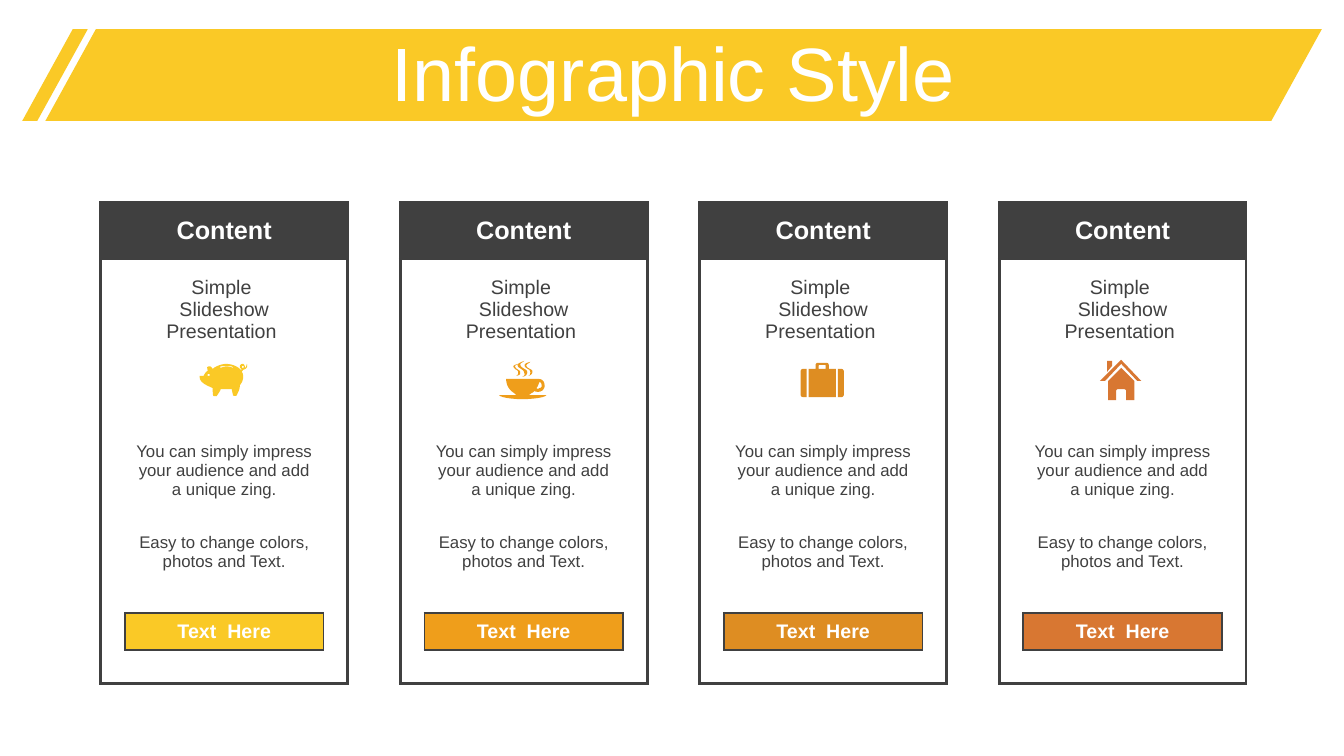
"""Build the Infographic Style slide: a title banner over four content cards."""
from lxml.etree import SubElement
from pptx import Presentation
from pptx.dml.color import RGBColor
from pptx.enum.shapes import MSO_SHAPE
from pptx.enum.text import MSO_ANCHOR, PP_ALIGN
from pptx.oxml.ns import qn
from pptx.util import Emu, Pt

PX = 9144
YELLOW, DARK, WHITE = "FAC926", "404040", "FFFFFF"

PIG = """M 9 10 C 8 10 8 10 8 11 C 8 12 8 12 9 12 C 10 12 10 12 10 11 C 10 10 10 10 9 10 Z
M 43 2 C 42 2 42 2 42 3 C 42 4 42 4 43 4 C 43 4 44 4 44 3 C 44 2 43 2 43 2 Z
M 27 2 C 25 2 22 2 20 3 L 21 4 C 25 2 29 2 33 4 L 33 3 C 31 2 29 2 27 2 Z
M 26 0 C 31 0 37 2 40 5 L 41 6 C 41 6 41 6 42 5 C 41 5 40 4 40 3 C 40 1 41 0 43 0
C 44 0 45 2 45 3 C 45 4 45 3 45 4 C 45 4 46 4 47 0 C 48 4 46 5 43 6 C 43 7 42 7 42 8
L 43 10 C 44 15 42 19 40 21 C 40 26 38 28 37 31 C 37 32 33 32 33 31 C 33 29 32 27 32 25
C 28 25 24 25 21 25 C 20 28 18 30 17 32 L 14 32 C 13 32 13 27 13 24 C 9 22 -1 19 0 12
C 0 12 2 12 4 12 C 5 10 6 8 8 7 C 8 5 7 3 8 3 C 11 1 12 4 13 5 C 16 2 23 0 26 0 Z"""
CUP = """M 40 21 C 39 23 39 25 37 27 C 38 28 39 28 40 27 C 42 27 43 25 42 23 C 42 22 41 21 40 21 Z
M 40 18 C 42 18 45 20 45 23 C 46 26 44 29 42 30 C 40 31 37 31 35 30 C 34 31 33 32 32 32
C 31 33 30 34 29 34 L 47 34 C 46 36 36 38 23 38 C 11 38 1 36 0 34 L 18 34
C 17 34 16 33 15 32 C 10 29 7 24 7 18 Z
M 19 3 C 17 4 16 4 16 6 C 17 9 22 9 21 12 C 21 14 20 14 17 15 C 19 14 19 13 19 11
C 19 9 16 9 15 7 C 13 5 15 4 19 3 Z
M 31 1 C 29 3 27 3 27 5 C 28 8 34 8 33 11 C 33 13 32 14 29 15 C 31 14 31 13 31 11
C 31 8 27 8 26 6 C 24 4 26 2 31 1 Z
M 25 0 C 23 2 21 2 21 4 C 22 8 29 8 28 12 C 27 15 26 15 23 16 C 25 15 26 14 25 12
C 25 9 21 8 19 6 C 17 3 20 2 25 0 Z"""
SUITCASE = """M 37 6 L 40 6 C 42 6 43 7 43 9 L 43 31 C 43 33 42 34 40 34 L 37 34 Z
M 3 6 L 6 6 L 6 34 L 3 34 C 1 34 0 33 0 31 L 0 9 C 0 7 1 6 3 6 Z
M 19 2 C 18 2 18 3 18 3 L 18 6 L 25 6 L 25 3 C 25 3 25 2 24 2 Z
M 17 0 L 26 0 C 27 0 28 1 28 2 L 28 6 L 35 6 L 35 34 L 8 34 L 8 6 L 15 6 L 15 2
C 15 1 16 0 17 0 Z"""
HOUSE = """M 21 8 L 34 21 L 34 40 L 26 40 L 26 31 C 26 30 25 29 23 29 L 18 29
C 17 29 16 30 16 31 L 16 40 L 8 40 L 8 21 Z
M 7 1 L 12 1 L 12 6 L 7 12 Z M 21 0 L 41 21 L 37 21 L 21 4 L 5 21 L 0 21 Z"""

CARDS = [
    (YELLOW, PIG, 98, 361),
    ("EF9E1B", CUP, 98, 358),
    ("DE8D22", SUITCASE, 100, 360),
    ("D87732", HOUSE, 100, 357),
]
CARD_LEFT, CARD_TOP, CARD_STEP = 100, 201, 297
COLUMNS = [23, 197, 23]
ROWS = [56, 101, 56, 106, 56, 32, 37, 33]
HEADER_ROW, CLEAR_FROM_ROW, BUTTON_ROW, LAST_ROW = 0, 3, 6, 7
CARD_TEXT = {
    0: (["Content"], 18, WHITE, True),
    1: (["Simple ", "Slideshow Presentation "], 14, DARK, False),
    3: (["You can simply impress your audience and add a unique zing."], 12, DARK, False),
    4: (["Easy to change colors, photos and Text."], 12, DARK, False),
    6: (["Text  Here"], 14, WHITE, True),
}


def paint(fill, color):
    fill.solid()
    fill.fore_color.rgb = RGBColor.from_string(color)


def write(paragraph, text, size, color, bold):
    paragraph.alignment = PP_ALIGN.CENTER
    run = paragraph.add_run()
    run.text = text
    run.font.name, run.font.size, run.font.bold = "Arial", Pt(size), bold
    run.font.color.rgb = RGBColor.from_string(color)


prs = Presentation()
prs.slide_width, prs.slide_height = Emu(1333 * PX), Emu(750 * PX)
slide = prs.slides.add_slide(prs.slide_layouts[5])
shapes = slide.shapes

for left, width, slant in [(45, 1266, 0.55), (22, 65, 0.77)]:
    banner = shapes.add_shape(MSO_SHAPE.PARALLELOGRAM, left * PX, 29 * PX, width * PX, 91 * PX)
    banner.adjustments[0] = slant
    banner.shadow.inherit = False
    paint(banner.fill, YELLOW)
    banner.line.fill.background()

title = shapes.title
title.left, title.top, title.width, title.height = [Emu(v * PX) for v in (35, 37, 1266, 79)]
title.text_frame.vertical_anchor = MSO_ANCHOR.MIDDLE
heading = title.text_frame.paragraphs[0]
heading.line_spacing = 0.9
write(heading, "Infographic Style", 54, WHITE, False)
shapes._spTree.append(title._element)

for index, (accent, outline, icon_offset, icon_top) in enumerate(CARDS):
    card_left = CARD_LEFT + index * CARD_STEP
    card = shapes.add_table(len(ROWS), len(COLUMNS), card_left * PX, CARD_TOP * PX,
                            sum(COLUMNS) * PX, sum(ROWS) * PX).table
    card.first_row = card.horz_banding = False
    for column, width in zip(card.columns, COLUMNS):
        column.width = Emu(width * PX)
    for r, height in enumerate(ROWS):
        card.rows[r].height = Emu(height * PX)
        for c in range(len(COLUMNS)):
            cell = card.cell(r, c)
            cell.vertical_anchor = MSO_ANCHOR.MIDDLE
            is_button = (r, c) == (BUTTON_ROW, 1)
            paint(cell.fill, DARK if r == HEADER_ROW else accent if is_button else WHITE)
            properties = cell._tc.get_or_add_tcPr()
            if r >= CLEAR_FROM_ROW and not is_button:
                white = properties.find(qn("a:solidFill")).find(qn("a:srgbClr"))
                SubElement(white, qn("a:alpha"), val="20000")

            frame = cell.text_frame
            if c == 1 and r in CARD_TEXT:
                lines, size, color, bold = CARD_TEXT[r]
                for n, line in enumerate(lines):
                    paragraph = frame.add_paragraph() if n else frame.paragraphs[0]
                    write(paragraph, line, size, color, bold)
            else:
                SubElement(frame.paragraphs[0]._p, qn("a:endParaRPr"), sz="1000")

            heavy = {
                "L": c == 0,
                "R": c == 2,
                "T": r <= HEADER_ROW + 1,
                "B": r in (HEADER_ROW, LAST_ROW),
            }
            thin = {
                "L": r == BUTTON_ROW and c > 0,
                "R": r == BUTTON_ROW and c < 2,
                "T": c == 1 and r in (BUTTON_ROW, LAST_ROW),
                "B": c == 1 and r in (BUTTON_ROW - 1, BUTTON_ROW),
            }
            for position, side in enumerate("LRTB"):
                points = 2.25 if heavy[side] else 1.5 if thin[side] else 0
                border = SubElement(properties, qn(f"a:ln{side}"), w=str(Pt(points)))
                if points:
                    SubElement(SubElement(border, qn("a:solidFill")), qn("a:srgbClr"), val=DARK)
                else:
                    SubElement(border, qn("a:noFill"))
                properties.insert(position, border)

    icon_left = card_left + icon_offset
    builder = None
    for step in outline.replace("\n", " ").replace("Z", "").replace(
            "M", "|M").replace("L", "|L").replace("C", "|C").split("|")[1:]:
        command, *numbers = step.split()
        values = [int(v) for v in numbers]
        points = [((icon_left + x) * PX, (icon_top + y) * PX)
                  for x, y in zip(values[::2], values[1::2])]
        if command == "M" and builder is None:
            builder = shapes.build_freeform(*points[0], scale=1.0)
        elif command == "M":
            builder.move_to(*points[0])
        elif command == "L":
            builder.add_line_segments(points, close=False)
        else:
            curve = [pen, *points]
            builder.add_line_segments([
                tuple(sum(weight * point[axis] for weight, point in zip(
                    ((1 - t) ** 3, 3 * t * (1 - t) ** 2, 3 * t * t * (1 - t), t ** 3), curve))
                    for axis in (0, 1))
                for t in (k / 6 for k in range(1, 7))], close=False)
        pen = points[-1]
    icon = builder.convert_to_shape()
    icon.shadow.inherit = False
    paint(icon.fill, accent)
    icon.line.fill.background()

prs.save("out.pptx")
